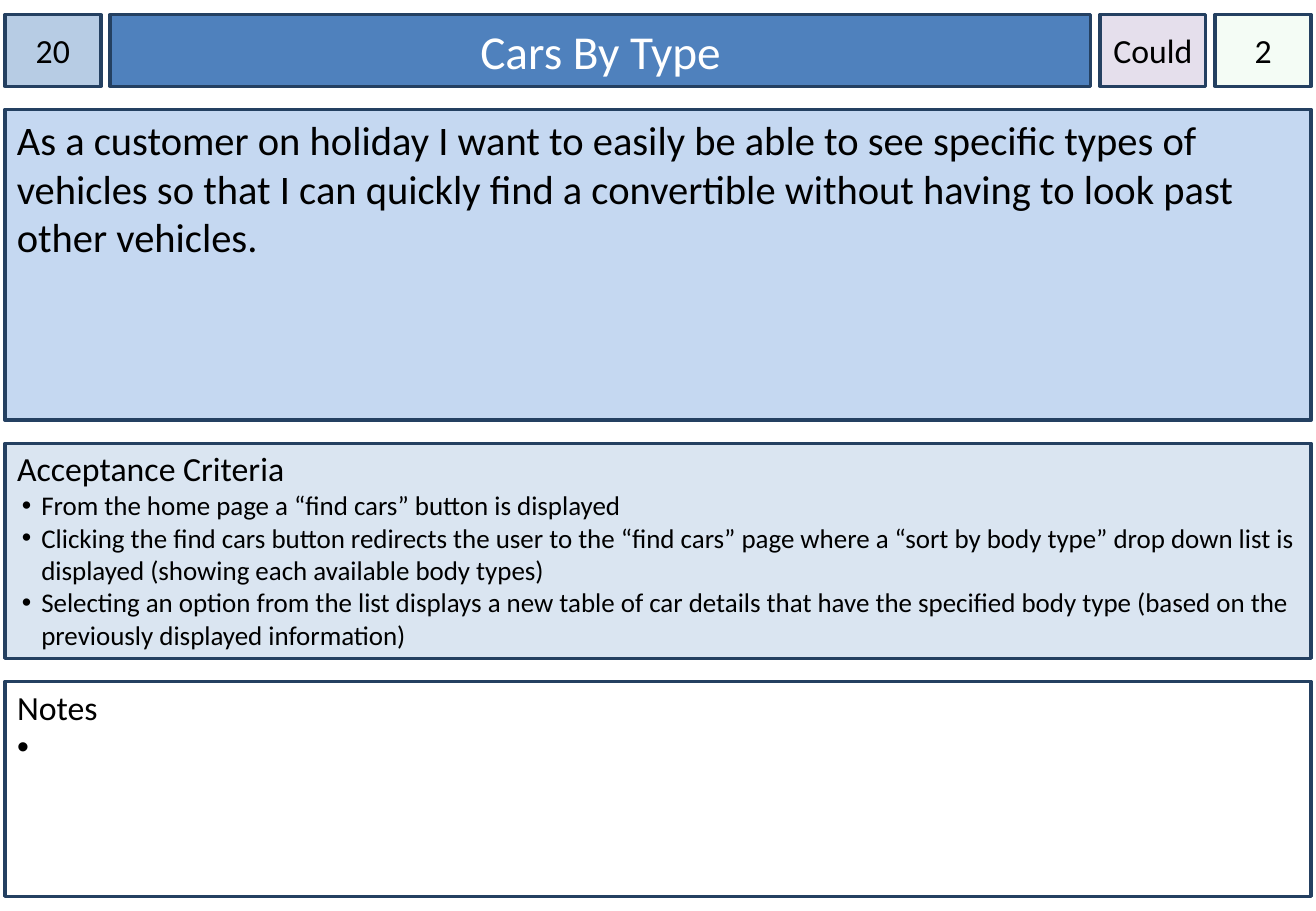
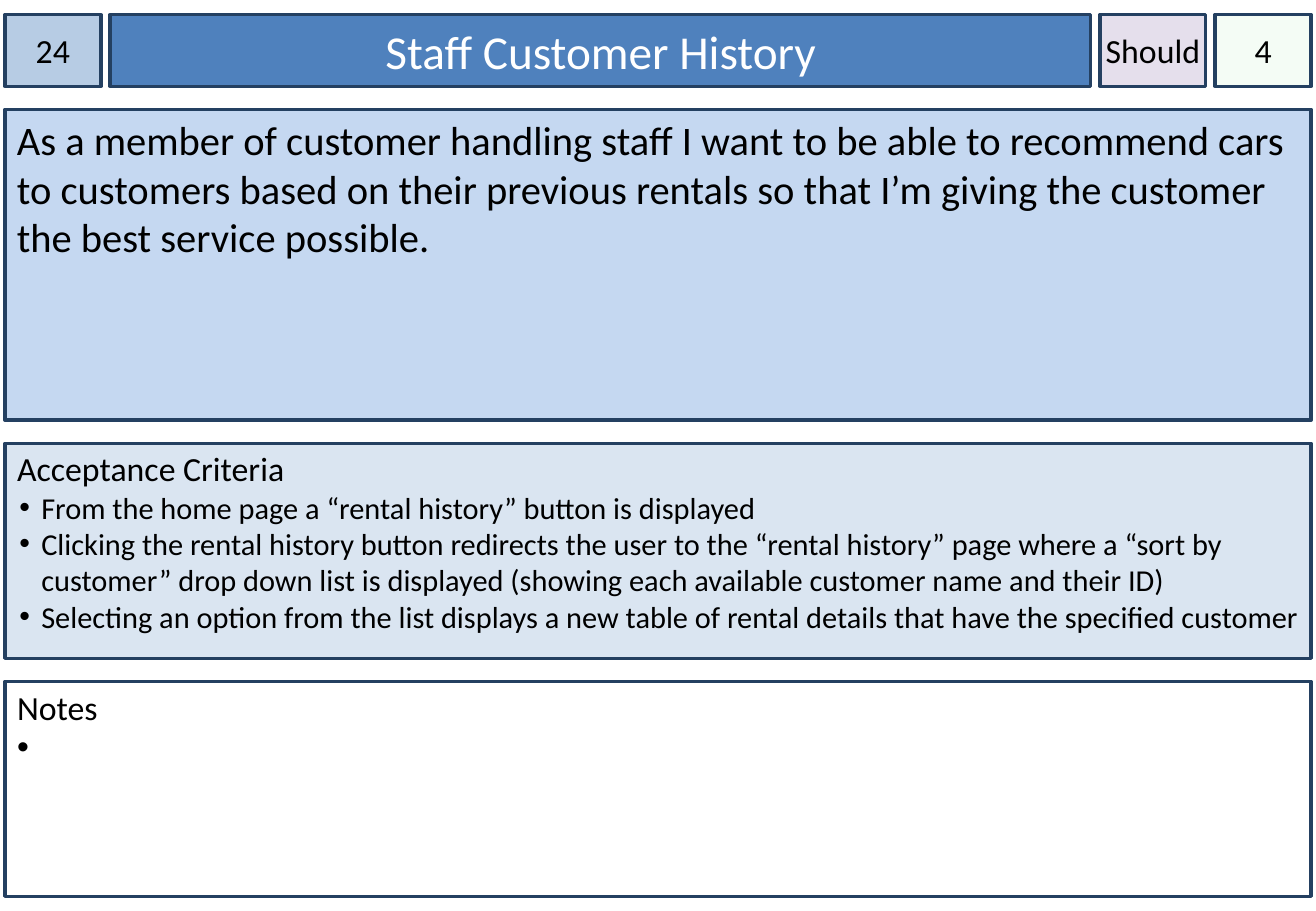
import pptx
import pptx.util
import pptx.dml.color
import pptx.enum.shapes
import pptx.enum.text
import pptx.oxml.ns
from lxml import etree

Inches = pptx.util.Inches
Anchor = pptx.enum.text.MSO_ANCHOR
Align = pptx.enum.text.PP_ALIGN

FONT = "Calibri"
COLORS = {
    "border": "244061", "text": "000000", "title_text": "FFFFFF",
    "number": "B7CCE4", "title": "4F81BD", "priority": "E5DFEC",
    "points": "CCF0CD", "story": "C5D8F1", "criteria": "DAE5F1",
    "notes": "FFFFFF",
}

# Card grid
LEFT, TOP, WIDTH, ROW_GAP = 0.04, 0.12, 10.75, 0.19
HEADER_WIDTHS = {"number": 0.79, "title": 8.07, "priority": 0.87, "points": 0.79}
ROW_HEIGHTS = {"header": 0.59, "story": 2.56, "criteria": 1.77, "notes": 1.77}
BULLET_INDENT = 0.2

CARDS = [
    {
        "number": "20", "title": "Cars By Type", "priority": "Could", "points": "2",
        "story": "As a customer on holiday I want to easily be able to see specific "
                 "types of vehicles so that I can quickly find a convertible without "
                 "having to look past other vehicles.",
        "criteria_size": 16,
        "criteria": [
            "From the home page a “find cars” button is displayed",
            "Clicking the find cars button redirects the user to the “find cars” page "
            "where a “sort by body type” drop down list is displayed (showing each "
            "available body types)",
            "Selecting an option from the list displays a new table of car details that "
            "have the specified body type (based on the previously displayed information)",
        ],
    },
    {
        "number": "24", "title": "Staff Customer History", "priority": "Should", "points": "4",
        "story": "As a member of customer handling staff I want to be able to recommend "
                 "cars to customers based on their previous rentals so that I’m giving "
                 "the customer the best service possible.",
        "criteria_size": 18,
        "criteria": [
            "From the home page a “rental history” button is displayed",
            "Clicking the rental history button redirects the user to the “rental history” "
            "page where a “sort by customer” drop down list is displayed (showing each "
            "available customer name and their ID)",
            "Selecting an option from the list displays a new table of rental details "
            "that have the specified customer",
        ],
    },
]


def rgb(name):
    return pptx.dml.color.RGBColor.from_string(COLORS[name])


def add_xml(parent, tag, **attrs):
    return etree.SubElement(parent, pptx.oxml.ns.qn(tag), attrs)


def layout_boxes():
    """Return left, top, width and height of each part of a card."""
    boxes = {}
    y = TOP
    for name, height in ROW_HEIGHTS.items():
        boxes[name] = (LEFT, y, WIDTH, height)
        y += height + ROW_GAP
    gap = (WIDTH - sum(HEADER_WIDTHS.values())) / (len(HEADER_WIDTHS) - 1)
    x = LEFT
    for name, width in HEADER_WIDTHS.items():
        boxes[name] = (x, TOP, width, ROW_HEIGHTS["header"])
        x += width + gap
    return boxes


def write(tf, text, size=20, color="text", align=Align.LEFT, bullet=False):
    """Add one formatted paragraph."""
    p = tf.paragraphs[0]
    if p.runs:
        p = tf.add_paragraph()
    pPr = p._p.get_or_add_pPr()
    indent, hang = (BULLET_INDENT, size / 100) if bullet else (0, 0)
    pPr.set("marL", str(Inches(indent)))
    pPr.set("indent", str(-Inches(hang)))
    if bullet:
        add_xml(add_xml(pPr, "a:buClr"), "a:srgbClr", val=COLORS[color])
        add_xml(pPr, "a:buFont", typeface="Arial")
        add_xml(pPr, "a:buChar", char="•")
    else:
        add_xml(pPr, "a:buNone")
    p.alignment = align
    p.line_spacing = 1.0
    p.space_before = p.space_after = pptx.util.Pt(0)
    r = p.add_run()
    r.text = text
    r.font.name = FONT
    r.font.size = pptx.util.Pt(size)
    r.font.color.rgb = rgb(color)


def style_box(sp, name, box, anchor=Anchor.TOP, left=0.1, right=0.1, top=0.05, opacity=None):
    """Place and paint a bordered box; return its text frame."""
    sp.left, sp.top, sp.width, sp.height = map(Inches, box)
    sp.shadow.inherit = False
    sp.fill.solid()
    sp.fill.fore_color.rgb = rgb(name)
    if opacity is not None:
        clr = sp._element.spPr.find(".//" + pptx.oxml.ns.qn("a:srgbClr"))
        add_xml(clr, "a:alpha", val=str(opacity * 1000))
    sp.line.color.rgb = rgb("border")
    sp.line.width = pptx.util.Pt(2)
    tf = sp.text_frame
    tf.word_wrap = True
    tf.auto_size = pptx.enum.text.MSO_AUTO_SIZE.NONE
    tf.vertical_anchor = anchor
    tf.margin_left, tf.margin_right = Inches(left), Inches(right)
    tf.margin_top, tf.margin_bottom = Inches(top), Inches(0.05)
    return tf


def add_box(s, name, box, **style):
    sp = s.shapes.add_shape(pptx.enum.shapes.MSO_SHAPE.RECTANGLE, 0, 0, 0, 0)
    return style_box(sp, name, box, **style)


def fill_list(sp, name, box, heading, items, size):
    # The narrower right inset keeps the longest item on one line
    tf = style_box(sp, name, box, top=0.04, right=0.06)
    write(tf, heading)
    for item in items:
        write(tf, item, size=size, bullet=True)


def add_card(prs, card, boxes):
    s = prs.slides.add_slide(prs.slide_layouts.get_by_name("Two Content"))
    title, criteria, notes = s.placeholders

    # Header row
    tf = style_box(title, "title", boxes["title"], anchor=Anchor.MIDDLE)
    write(tf, card["title"], size=28, color="title_text", align=Align.CENTER)
    for name, opacity in (("number", None), ("priority", None), ("points", 20)):
        tf = add_box(s, name, boxes[name], anchor=Anchor.MIDDLE, left=0, right=0,
                     opacity=opacity)
        write(tf, card[name], align=Align.CENTER)

    # Story, criteria and notes
    write(add_box(s, "story", boxes["story"]), card["story"], size=24)
    fill_list(criteria, "criteria", boxes["criteria"], "Acceptance Criteria",
              card["criteria"], card["criteria_size"])
    fill_list(notes, "notes", boxes["notes"], "Notes", [" "], 20)


def main():
    prs = pptx.Presentation()
    prs.slide_width, prs.slide_height = Inches(10.83), Inches(7.5)
    boxes = layout_boxes()
    for card in CARDS:
        add_card(prs, card, boxes)
    prs.save("out.pptx")


if __name__ == "__main__":
    main()
